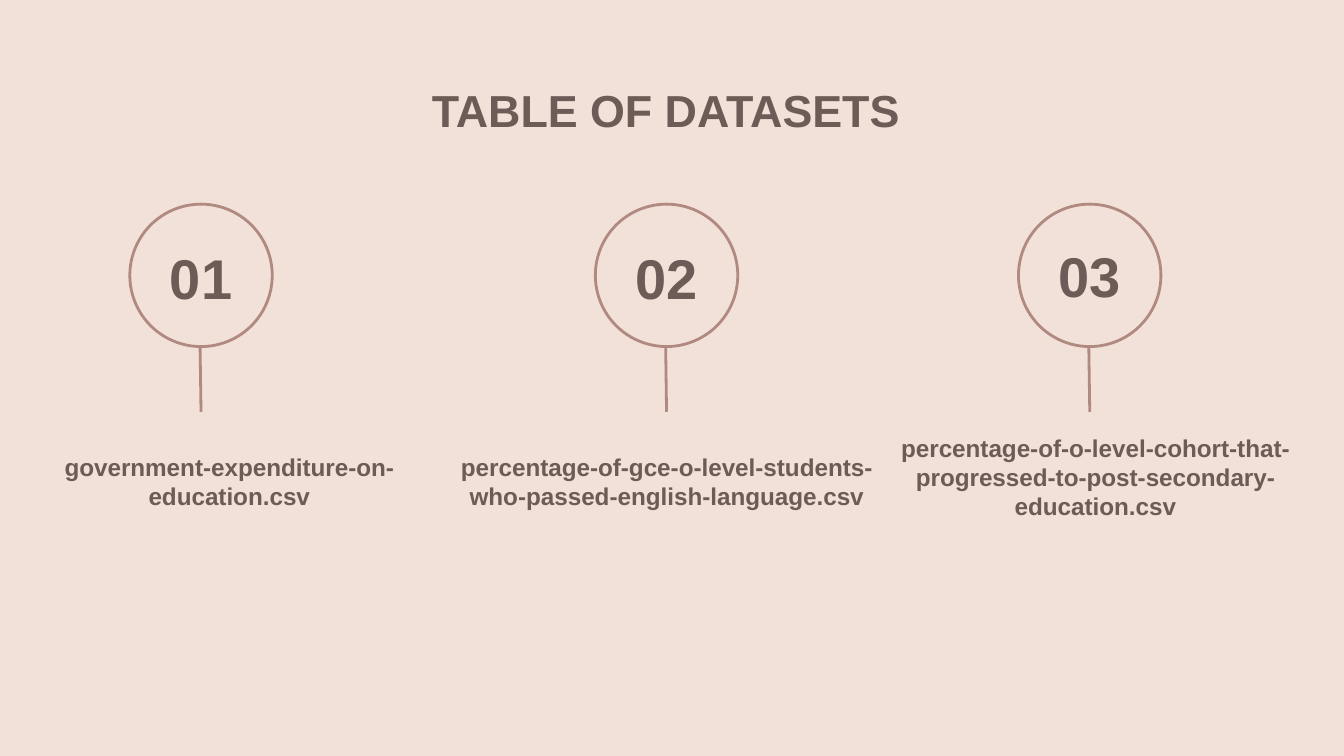
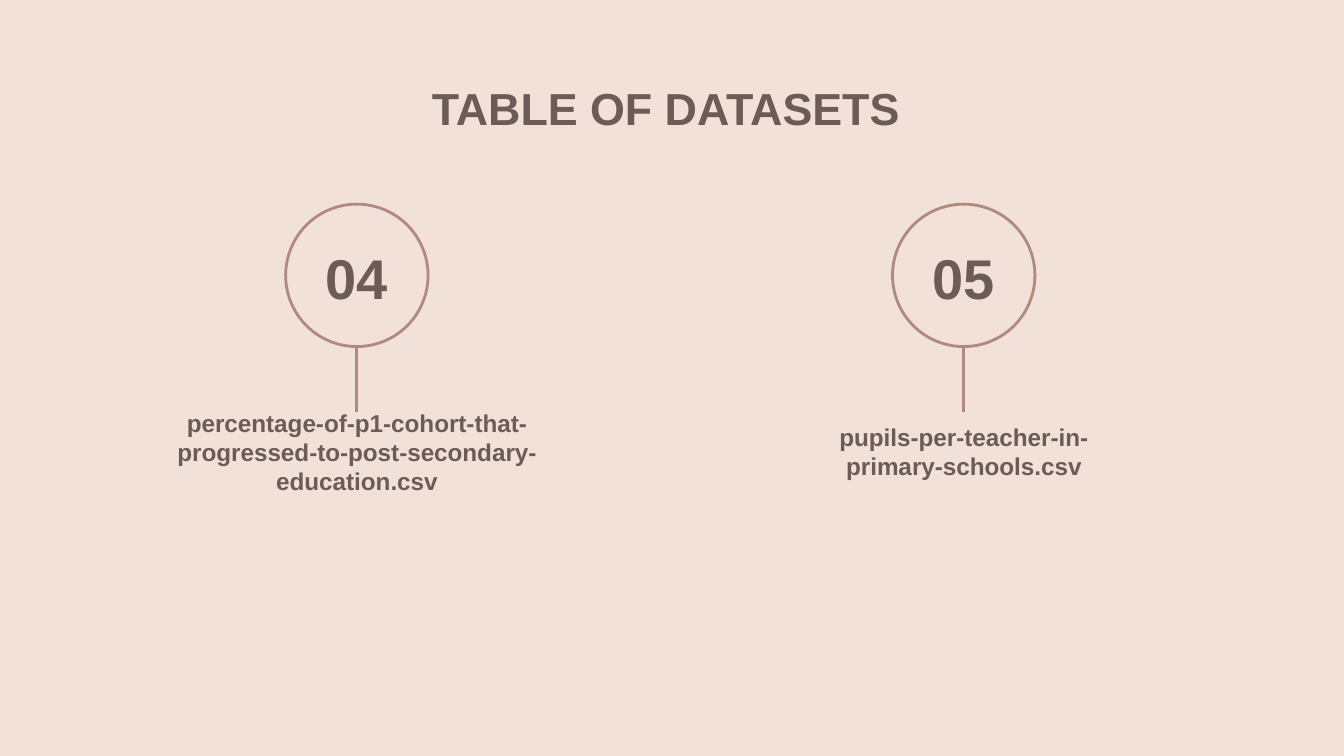
from pptx import Presentation
from pptx.dml.color import RGBColor
from pptx.enum.shapes import MSO_CONNECTOR, MSO_SHAPE
from pptx.enum.text import MSO_ANCHOR, PP_ALIGN
from pptx.oxml.ns import qn
from pptx.util import Pt
from lxml.etree import SubElement

COLORS = {"back": "F2E1D8", "text": "6D5B57", "line": "B08980"}
FONT = "Arial"
INSET = 7.2

# Circle and stem sizes shared by all datasets
RING_TOP, RING_SIZE = 109.4, 76.3
STEM_TOP, STEM_LEN = 185.4, 35.2
NUM_WIDTH, NUM_HEIGHT = 184.3, 46.8
LABEL_HEIGHT = 41.8


def color(name):
    return RGBColor.from_string(COLORS[name])


def add_text(slide, text, *, mid, top, width, height, size,
             anchor=MSO_ANCHOR.MIDDLE):
    """Add bold text centred on the horizontal position mid."""
    box = slide.shapes.add_textbox(
        Pt(mid - width / 2), Pt(top), Pt(width), Pt(height))
    frame = box.text_frame
    frame.word_wrap = True
    frame.vertical_anchor = anchor
    frame.margin_left = frame.margin_right = Pt(INSET)
    frame.margin_top = frame.margin_bottom = Pt(INSET)
    para = frame.paragraphs[0]
    para.alignment = PP_ALIGN.CENTER
    run = para.add_run()
    run.text = text
    run.font.name = FONT
    run.font.size = Pt(size)
    run.font.bold = True
    run.font.color.rgb = color("text")


def style_line(item):
    item.line.color.rgb = color("line")
    item.line.width = Pt(1.5)


def add_ring(slide, mid):
    ring = slide.shapes.add_shape(
        MSO_SHAPE.OVAL, Pt(mid - RING_SIZE / 2), Pt(RING_TOP),
        Pt(RING_SIZE), Pt(RING_SIZE))
    ring.shadow.inherit = False
    ring.fill.background()
    style_line(ring)


def add_stem(slide, mid, slant):
    stem = slide.shapes.add_connector(
        MSO_CONNECTOR.STRAIGHT, Pt(mid - slant), Pt(STEM_TOP),
        Pt(mid), Pt(STEM_TOP + STEM_LEN))
    style_line(stem)
    SubElement(stem.element.spPr, qn("a:effectLst"))


def add_item(slide, num, label, *, mid, top, width, label_mid=None,
             num_top=125.3, slant=0):
    """Add one numbered dataset: circle, number, stem and file name."""
    add_ring(slide, mid)
    add_stem(slide, mid, slant)
    add_text(slide, f"{num:02d}", mid=mid, top=num_top,
             width=NUM_WIDTH, height=NUM_HEIGHT, size=30)
    add_text(slide, label, mid=label_mid or mid, top=top,
             width=width, height=LABEL_HEIGHT, size=13)


def add_page(deck, title_top):
    slide = deck.slides.add_slide(deck.slide_layouts[6])
    fill = slide.background.fill
    fill.solid()
    fill.fore_color.rgb = color("back")
    # The space after the title shifts it slightly left of centre
    add_text(slide, "TABLE OF DATASETS ", mid=360, top=title_top,
             width=607, height=45.4, size=24, anchor=MSO_ANCHOR.TOP)
    return slide


def main():
    deck = Presentation()
    deck.slide_width, deck.slide_height = Pt(720), Pt(405)

    # Datasets 1 to 3
    page = add_page(deck, 37.4)
    add_item(page, 1, "government-expenditure-on-education.csv",
             mid=107.7, label_mid=122.8, top=236.9, width=230.4, slant=0.5)
    add_item(page, 2,
             "percentage-of-gce-o-level-students-who-passed-english-language.csv",
             mid=357.1, top=236.9, width=238.3, slant=0.5)
    add_item(page, 3,
             "percentage-of-o-level-cohort-that-progressed-to-post-secondary-"
             "education.csv",
             mid=583.8, label_mid=586.8, top=234.7, width=233.3,
             num_top=123.8, slant=0.5)

    # Datasets 4 and 5
    page = add_page(deck, 36)
    add_item(page, 4,
             "percentage-of-p1-cohort-that-progressed-to-post-secondary-"
             "education.csv",
             mid=191.2, top=221, width=239.8)
    add_item(page, 5, "pupils-per-teacher-in-primary-schools.csv",
             mid=516.3, top=221, width=NUM_WIDTH)

    deck.save("out.pptx")


if __name__ == "__main__":
    main()
